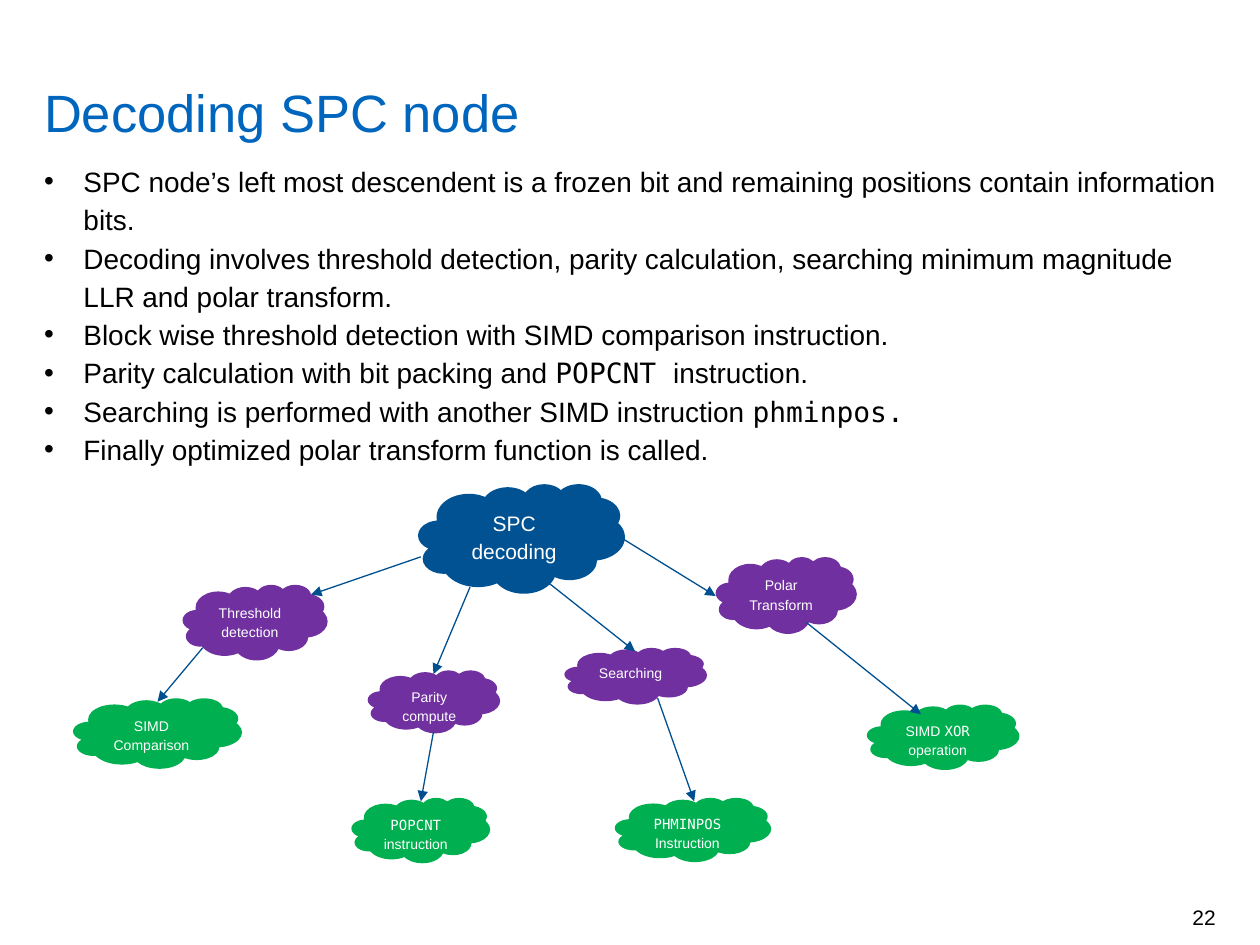
from dataclasses import dataclass

from pptx import Presentation
from pptx.dml.color import RGBColor
from pptx.enum import shapes, text
from pptx.oxml.ns import qn
from pptx.util import Pt


@dataclass(frozen=True)
class Theme:
    sans: str = "Arial"
    mono: str = "DejaVu Sans Mono"
    heading: str = "0065BD"
    ink: str = "000000"
    light: str = "FFFFFF"
    root: str = "005293"
    step: str = "7030A0"
    instruction: str = "00B050"
    arrow: str = "005090"
    title_size: int = 30
    body_size: int = 16
    root_size: int = 12
    node_size: int = 8
    number_size: int = 12
    spacing: float = 1.14


THEME = Theme()

BULLETS = [
    "SPC node’s left most descendent is a frozen bit and remaining positions "
    "contain information bits.",
    "Decoding involves threshold detection, parity calculation, searching "
    "minimum magnitude LLR and polar transform.",
    "Block wise threshold detection with SIMD comparison instruction.",
    "Parity calculation with bit packing and `POPCNT `instruction.",
    "Searching is performed with another SIMD instruction `phminpos.`",
    "Finally optimized polar transform function is called.",
]

# Paragraphs, (left, top, width, height) in points
STEPS = [
    (["Threshold detection"], (104.4, 334.1, 82.8, 43.2)),
    (["Polar", "Transform"], (409, 318.2, 80.6, 43.9)),
    (["Searching"], (322.6, 370.1, 81.4, 32.4)),
    (["Parity", "compute"], (210.2, 383, 75.6, 36)),
]
INSTRUCTIONS = [
    (["`PHMINPOS`", "Instruction"], (351.4, 455.8, 89.3, 36.7)),
    (["SIMD Comparison"], (41.8, 398.9, 96.5, 40.3)),
    (["`POPCNT` instruction"], (200.9, 455.8, 79.2, 37.4)),
    (["SIMD `XOR` operation"], (495.4, 402.5, 87.1, 37.4)),
]

# Start x, y and end x, y in points
ARROWS = [
    (240.5, 318.2, 177.8, 339.8),  # root to threshold detection
    (115.9, 370.1, 90, 401),       # threshold detection to comparison
    (268.6, 335.5, 247.7, 385.2),  # root to parity
    (247.7, 418.3, 240.5, 457.9),  # parity to bit count
    (313.9, 333.4, 362.9, 372.2),  # root to searching
    (375.8, 398.9, 396.7, 457.9),  # searching to minimum position
    (356.4, 308.2, 409, 340.6),    # root to polar transform
    (460.8, 355.7, 526.3, 408.2),  # polar transform to XOR
]


def write(frame, paragraphs, size, color, align="LEFT", spacing=THEME.spacing,
          insets=(7.2, 3.6), anchor="TOP", fit="NONE", bullet_indent=0):
    """Fill a text frame; backticks enclose monospaced code."""
    frame.word_wrap = True
    frame.auto_size = text.MSO_AUTO_SIZE[fit]
    frame.vertical_anchor = text.MSO_ANCHOR[anchor]
    frame.margin_left = frame.margin_right = Pt(insets[0])
    frame.margin_top = frame.margin_bottom = Pt(insets[1])
    for i, content in enumerate(paragraphs):
        para = frame.add_paragraph() if i else frame.paragraphs[0]
        para.alignment = text.PP_ALIGN[align]
        para.line_spacing = spacing
        para.space_before = para.space_after = Pt(0)
        if bullet_indent:
            props = para._p.get_or_add_pPr()
            props.set("marL", str(Pt(bullet_indent)))
            props.set("indent", str(-Pt(bullet_indent)))
            bullet = props.makeelement(qn("a:buChar"), {"char": "•"})
            props.append(bullet)
        for j, piece in enumerate(content.split("`")):
            if piece:
                run = para.add_run()
                run.text = piece
                run.font.name = THEME.mono if j % 2 else THEME.sans
                run.font.size = Pt(size)
                run.font.color.rgb = RGBColor.from_string(color)


def place(holder, left, top, width, height):
    holder.left, holder.top = Pt(left), Pt(top)
    holder.width, holder.height = Pt(width), Pt(height)


def add_cloud(slide, paragraphs, box, fill, size):
    cloud = slide.shapes.add_shape(shapes.MSO_SHAPE.CLOUD, *map(Pt, box))
    cloud.shadow.inherit = False
    cloud.fill.solid()
    cloud.fill.fore_color.rgb = RGBColor.from_string(fill)
    cloud.line.fill.background()
    write(cloud.text_frame, paragraphs, size, THEME.light, align="CENTER")


def add_arrow(slide, ends):
    arrow = slide.shapes.add_connector(shapes.MSO_CONNECTOR.STRAIGHT,
                                       *map(Pt, ends))
    arrow.line.color.rgb = RGBColor.from_string(THEME.arrow)
    arrow.line.width = Pt(0.75)
    line = arrow.line._get_or_add_ln()
    line.append(line.makeelement(qn("a:tailEnd"), {"type": "triangle"}))
    props = arrow._element.spPr
    props.append(props.makeelement(qn("a:effectLst"), {}))


def main():
    deck = Presentation()
    deck.slide_width, deck.slide_height = Pt(720), Pt(540)
    slide = deck.slides.add_slide(deck.slide_layouts[1])

    # Page number
    number = slide.shapes.add_textbox(Pt(533.5), Pt(509.8), Pt(161.3), Pt(28.8))
    write(number.text_frame, ["22"], THEME.number_size, THEME.ink,
          align="RIGHT", spacing=1.0, insets=(0, 3.6), anchor="MIDDLE")

    # Title and bullet list
    title, body = slide.placeholders
    place(title, 25.2, 49.7, 670.3, 32.4)
    write(title.text_frame, ["Decoding SPC node"], THEME.title_size,
          THEME.heading, spacing=Pt(32), insets=(0, 0), fit="SHAPE_TO_FIT_TEXT")
    place(body, 25.2, 91.4, 670.3, 418.3)
    write(body.text_frame, BULLETS, THEME.body_size, THEME.ink,
          insets=(0, 0), bullet_indent=22.5)

    # Decoding tree
    add_cloud(slide, ["SPC decoding"], (239, 276.5, 118.1, 62.6),
              THEME.root, THEME.root_size)
    for nodes, fill in ((STEPS, THEME.step),
                        (INSTRUCTIONS, THEME.instruction)):
        for paragraphs, box in nodes:
            add_cloud(slide, paragraphs, box, fill, THEME.node_size)
    for ends in ARROWS:
        add_arrow(slide, ends)

    deck.save("out.pptx")


main()
